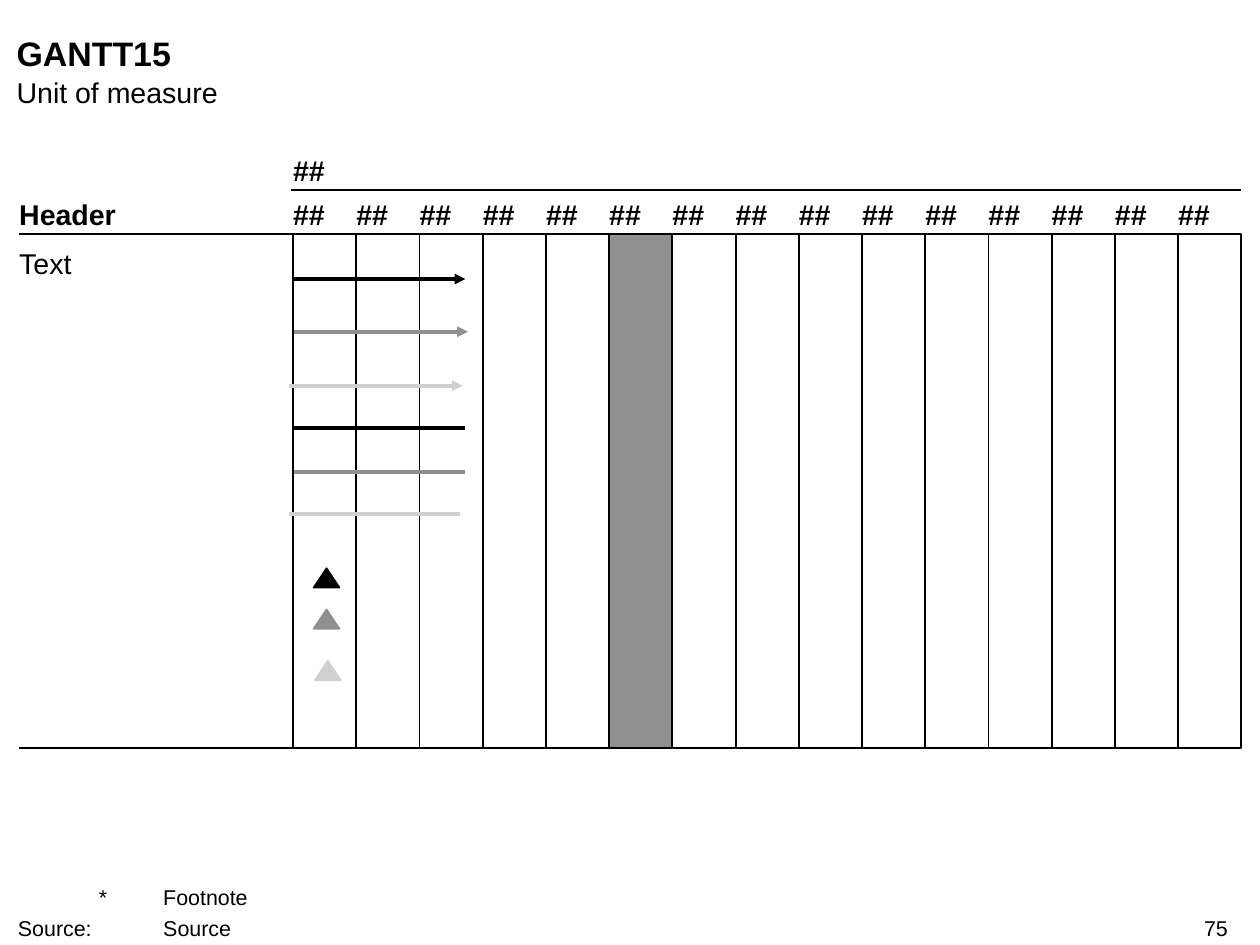
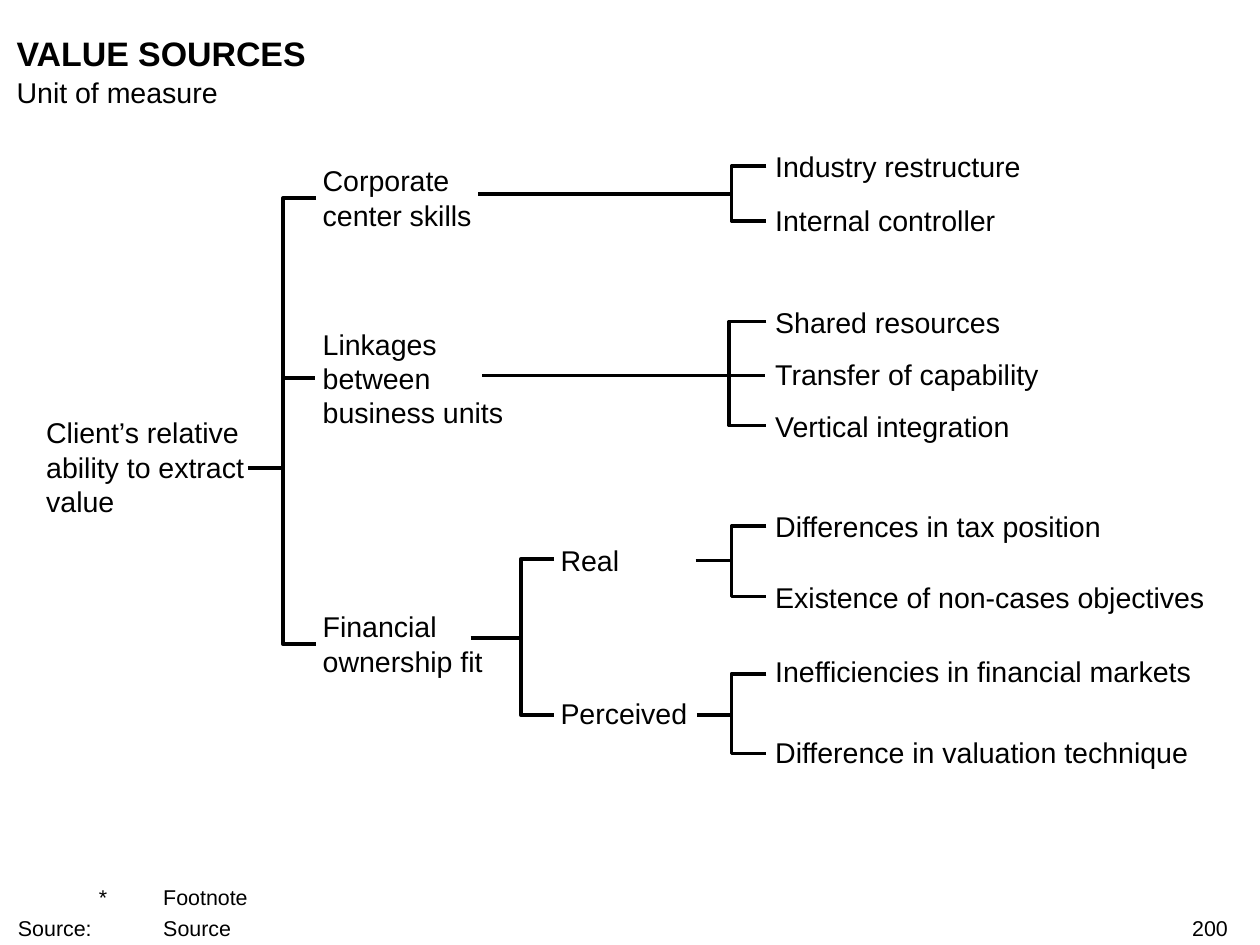
"""Build a Gantt template slide and a value sources tree slide."""
import pptx
import pptx.util
import pptx.dml.color
import pptx.enum.shapes
import pptx.enum.text
from lxml import etree
from pptx.oxml.ns import qn

Pt = pptx.util.Pt
SHAPES = pptx.enum.shapes.MSO_SHAPE
ALIGN = pptx.enum.text.PP_ALIGN
ANCHOR = pptx.enum.text.MSO_ANCHOR

COLOURS = {"black": "000000", "grey": "909090", "light": "D0D0D0", "white": "FFFFFF"}
FONT = "Arial"
LINE_HEIGHT = 19.44

SUBTITLE = "Unit of measure"
FOOTER = ["\t*\tFootnote", "Source:\t\tSource"]
FOOTER_INDENT = 45.36
FOOTER_TABS = [(0, "l"), (41.76, "r"), (70.56, "l"), (141.12, "l"), (211.68, "l")]

PERIODS = ["##"] * 15
CURRENT_PERIOD = 5
GRID_LEFT, GRID_TOP, PERIOD_WIDTH, GRID_HEIGHT = 164.16, 131.04, 35.4, 288
ROW_LEFT = 10.8
ACTIVITIES = [
    (164.88, 260.64, 156.24, "black", True),
    (164.88, 262.08, 185.76, "grey", True),
    (162, 259.2, 216, "light", True),
    (164.88, 260.64, 239.76, "black", False),
    (164.88, 260.64, 264.24, "grey", False),
    (162, 257.76, 288, "light", False),
]
MILESTONES = [(175.68, 318.24, "black"), (175.68, 341.28, "grey"), (176.4, 370.08, "light")]

BRANCHES = [
    ("Client’s relative ability to extract value", 25.92, 232.56, 120.24, 3),
    ("Corporate center skills", 180.72, 91.44, 97.2, 2),
    ("Linkages between business units", 180.72, 182.88, 114.48, 3),
    ("Financial ownership fit", 180.72, 341.28, 101.52, 2),
    ("Real", 313.92, 303.84, 51.84, 1),
    ("Perceived", 313.92, 389.52, 79.2, 1),
]
LEAF_LEFT, LEAF_WIDTH = 434.16, 266.4
LEAVES = [
    ("Industry restructure", 83.52),
    ("Internal controller", 113.76),
    ("Shared resources", 170.64),
    ("Transfer of capability", 200.16),
    ("Vertical integration", 228.96),
    ("Differences in tax position", 285.12),
    ("Existence of non-cases objectives", 324.72),
    ("Inefficiencies in financial markets", 366.48),
    ("Difference in valuation technique", 411.84),
]
STEMS = [
    (138.96, 158.4, 262.08, 2),
    (158.4, 176.4, 211.68, 2),
    (267.84, 409.68, 108.72, 2),
    (270, 428.4, 210.24, 2),
    (263.52, 291.6, 357.12, 2.25),
    (389.52, 409.68, 313.92, 2),
    (390.24, 409.68, 400.32, 2),
]
BRACKETS = [
    (158.4, 177.12, 110.88, 360.72, 2),
    (409.68, 429.12, 92.88, 123.84, 2),
    (408.24, 429.12, 180, 238.32, 2),
    (291.6, 310.32, 313.2, 400.32, 2.25),
    (409.68, 429.12, 294.48, 334.08, 2),
    (409.68, 429.12, 377.28, 421.92, 2),
]


def colour(name):
    return pptx.dml.color.RGBColor.from_string(COLOURS[name])


def add_text(slide, text, left, top, width, height=LINE_HEIGHT, size=16, bold=False,
             align=None, anchor=ANCHOR.TOP, space=0, indent=0, tabs=()):
    frame = slide.shapes.add_textbox(Pt(left), Pt(top), Pt(width), Pt(height)).text_frame
    frame.margin_left = frame.margin_right = frame.margin_top = frame.margin_bottom = 0
    frame.word_wrap = True
    frame.vertical_anchor = anchor
    for index, words in enumerate([text] if isinstance(text, str) else text):
        paragraph = frame.add_paragraph() if index else frame.paragraphs[0]
        paragraph.alignment = align
        if index:
            paragraph.space_before = Pt(space)
        if tabs:
            properties = paragraph._p.get_or_add_pPr()
            properties.set("marL", str(Pt(indent)))
            properties.set("indent", str(-Pt(indent)))
            stops = etree.SubElement(properties, qn("a:tabLst"))
            for position, side in tabs:
                etree.SubElement(stops, qn("a:tab"), pos=str(Pt(position)), algn=side)
        run = paragraph.add_run()
        run.text = words
        run.font.name, run.font.size, run.font.bold = FONT, Pt(size), bold
        run.font.color.rgb = colour("black")


def add_rule(slide, start, end, y, width=1, tone="black", arrow=False):
    rule = slide.shapes.add_connector(pptx.enum.shapes.MSO_CONNECTOR.STRAIGHT,
                                      Pt(start), Pt(y), Pt(end), Pt(y))
    rule.line.color.rgb = colour(tone)
    rule.line.width = Pt(width)
    if arrow:
        etree.SubElement(rule.line._get_or_add_ln(), qn("a:tailEnd"), type="triangle")
    etree.SubElement(rule._element.spPr, qn("a:effectLst"))


def add_figure(slide, preset, left, top, width, height, fill, outline):
    figure = slide.shapes.add_shape(preset, Pt(left), Pt(top), Pt(width), Pt(height))
    figure.shadow.inherit = False
    figure.fill.solid()
    figure.fill.fore_color.rgb = colour(fill)
    figure.line.color.rgb = colour(outline)
    figure.line.width = Pt(1)


def add_bracket(slide, spine, arm_end, top, bottom, width):
    builder = slide.shapes.build_freeform(Pt(arm_end), Pt(top), scale=1.0)
    corners = [(spine, top), (spine, bottom), (arm_end, bottom)]
    builder.add_line_segments([(Pt(x), Pt(y)) for x, y in corners], close=False)
    bracket = builder.convert_to_shape()
    bracket.shadow.inherit = False
    bracket.fill.background()
    bracket.line.color.rgb = colour("black")
    bracket.line.width = Pt(width)


def add_page(deck, title, number):
    slide = deck.slides.add_slide(deck.slide_layouts[6])
    add_text(slide, title, 9.36, 18, 679, 23.04, size=19, bold=True)
    add_text(slide, SUBTITLE, 9.36, 41.76, 679)
    add_text(slide, FOOTER, 10.08, 495.36, 642.96, 31.68, size=12, anchor=ANCHOR.BOTTOM,
             space=3, indent=FOOTER_INDENT, tabs=FOOTER_TABS)
    add_text(slide, number, 540.72, 512.64, 146.88, 14.4, size=12, align=ALIGN.RIGHT)
    return slide


def build_gantt(deck):
    slide = add_page(deck, "GANTT15", "75")
    add_text(slide, "##", GRID_LEFT, 85.68, 526.32, bold=True)
    add_rule(slide, 162.72, 694.8, 106.56)
    add_text(slide, "Header", ROW_LEFT, 110.16, 146.88, bold=True)
    add_text(slide, "Text", ROW_LEFT, 137.52, 146.88)
    for index, period in enumerate(PERIODS):
        left = GRID_LEFT + index * PERIOD_WIDTH
        fill = "grey" if index == CURRENT_PERIOD else "white"
        add_figure(slide, SHAPES.RECTANGLE, left, GRID_TOP, PERIOD_WIDTH, GRID_HEIGHT,
                   fill, "black")
        add_text(slide, period, left, 110.16, 27.36, bold=True)
    for y in (GRID_TOP, GRID_TOP + GRID_HEIGHT):
        add_rule(slide, ROW_LEFT, 165.6, y)
    for start, end, y, tone, arrow in ACTIVITIES:
        add_rule(slide, start, end, y, width=2, tone=tone, arrow=arrow)
    for left, top, tone in MILESTONES:
        add_figure(slide, SHAPES.ISOSCELES_TRIANGLE, left, top, 14.4, 10.8, tone, tone)


def build_value_tree(deck):
    slide = add_page(deck, "VALUE SOURCES", "200")
    for stem in STEMS:
        add_rule(slide, *stem)
    for bracket in BRACKETS:
        add_bracket(slide, *bracket)
    for label, left, top, width, lines in BRANCHES:
        add_text(slide, label, left, top, width, lines * LINE_HEIGHT)
    for label, top in LEAVES:
        add_text(slide, label, LEAF_LEFT, top, LEAF_WIDTH)


def main():
    deck = pptx.Presentation()
    deck.slide_width, deck.slide_height = Pt(705.6), Pt(529.2)
    build_gantt(deck)
    build_value_tree(deck)
    deck.save("out.pptx")


if __name__ == "__main__":
    main()
